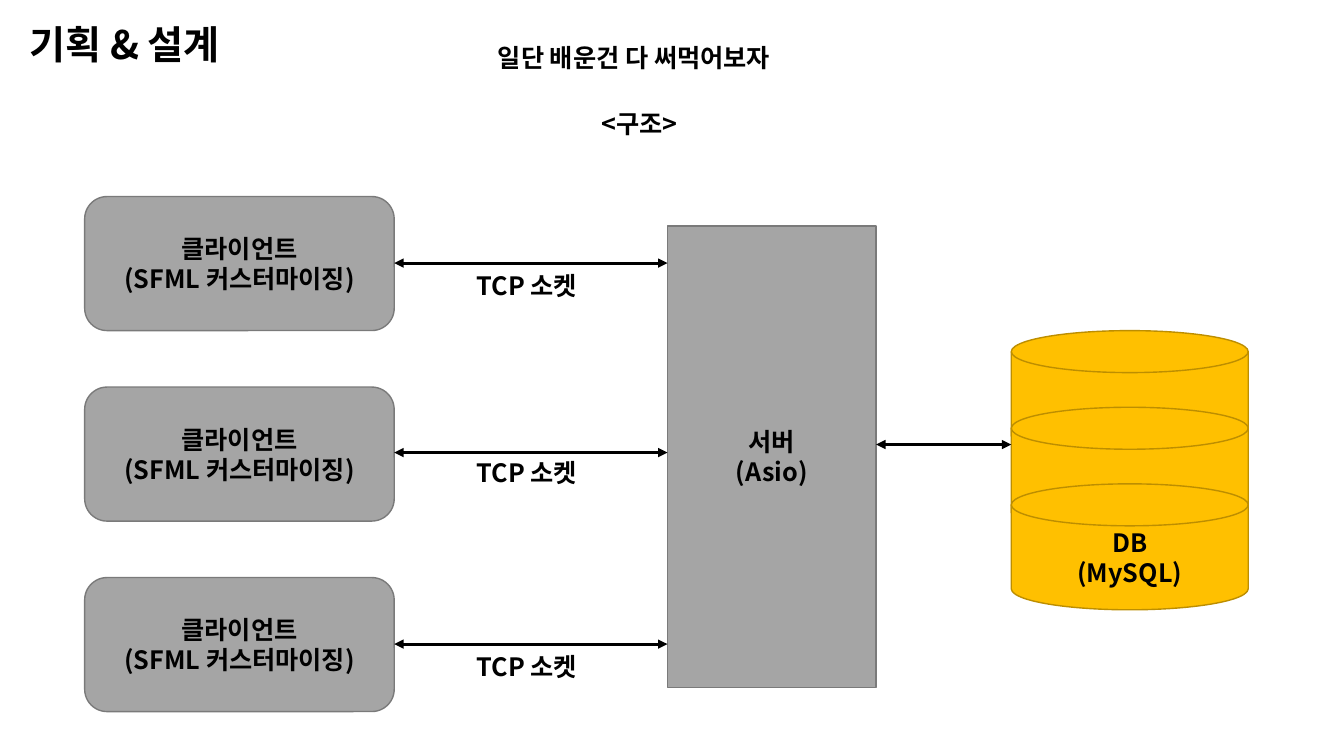
from pptx import Presentation
from pptx.dml.color import RGBColor
from pptx.enum.shapes import MSO_CONNECTOR, MSO_SHAPE
from pptx.enum.text import MSO_ANCHOR, MSO_AUTO_SIZE, PP_ALIGN
from pptx.oxml.ns import qn
from pptx.util import Emu, Pt
from lxml import etree

STRAIGHT = MSO_CONNECTOR.STRAIGHT
ROUNDED = MSO_SHAPE.ROUNDED_RECTANGLE
PROCESS = MSO_SHAPE.FLOWCHART_PROCESS
DISK = MSO_SHAPE.FLOWCHART_MAGNETIC_DISK
MIDDLE = MSO_ANCHOR.MIDDLE
GROW = MSO_AUTO_SIZE.SHAPE_TO_FIT_TEXT
CENTER = PP_ALIGN.CENTER

FONT = "Noto Sans CJK KR"
BLACK, GRAY, GRAY_EDGE = "000000", "A5A5A5", "7A7A7A"
GOLD, GOLD_EDGE = "FFC000", "BD8E00"


def px(n):
    """100 px to the inch."""
    return Emu(n * 9144)


def rgb(color):
    return RGBColor.from_string(color)


def write(p, text, size=18, color=BLACK, bold=True):
    r = p.add_run()
    r.text = text
    r.font.name = FONT
    r.font.size = Pt(size)
    r.font.bold = bold
    r.font.color.rgb = rgb(color)
    etree.SubElement(r.font._element, qn("a:ea"), typeface=FONT)


def add_label(s, x, y, w, h, text, size=18, line_spacing=None, grow=True):
    tf = s.shapes.add_textbox(px(x), px(y), px(w), px(h)).text_frame
    tf.word_wrap = True
    if grow:
        tf.auto_size = GROW
    p = tf.paragraphs[0]
    if line_spacing:
        p.line_spacing = line_spacing
    write(p, text, size=size)


def add_node(s, kind, x, y, w, h, fill, edge, lines=()):
    sp = s.shapes.add_shape(kind, px(x), px(y), px(w), px(h))
    sp.shadow.inherit = False
    sp.fill.solid()
    sp.fill.fore_color.rgb = rgb(fill)
    sp.line.color.rgb = rgb(edge)
    sp.line.width = Pt(1)
    tf = sp.text_frame
    tf.word_wrap = True
    tf.vertical_anchor = MIDDLE
    for i, text in enumerate(lines):
        p = tf.add_paragraph() if i else tf.paragraphs[0]
        p.alignment = CENTER
        write(p, text)


def add_link(s, x1, x2, y):
    """Horizontal two-way arrow."""
    cn = s.shapes.add_connector(STRAIGHT, px(x1), px(y), px(x2), px(y))
    cn.line.color.rgb = rgb(BLACK)
    cn.line.width = Pt(2.25)
    ln = cn.line._get_or_add_ln()
    for end in ("a:headEnd", "a:tailEnd"):
        etree.SubElement(ln, qn(end), type="triangle")
    etree.SubElement(cn._element.spPr, qn("a:effectLst"))


def add_headings(s, x, y):
    add_label(s, x, y, 278, 73, "기획 & 설계", size=28, line_spacing=0.9, grow=False)
    add_label(s, x + 465, y + 16, 356, 40, "일단 배운건 다 써먹어보자")
    add_label(s, x + 568, y + 82, 124, 40, "<구조>")


def add_database(s, x, y, w, h):
    disk_h, step = 125, (h - 125) // 2
    for i in range(3):
        lines = ("DB", "(MySQL)") if i == 2 else ()
        add_node(s, DISK, x, y + i * step, w, disk_h, GOLD, GOLD_EDGE, lines)


def add_clients(s, x, y, w, h, pitch, server_x):
    """Client boxes, each with its socket link to the server."""
    for i, (link_dy, label_dy) in enumerate([(66, 68), (65, 65), (66, 68)]):
        top = y + i * pitch
        add_node(s, ROUNDED, x, top, w, h, GRAY, GRAY_EDGE,
                 ("클라이언트", "(SFML 커스터마이징)"))
        add_link(s, x + w, server_x, top + link_dy)
        add_label(s, x + w + 72, top + label_dy, 124, 40, "TCP 소켓")


def main():
    prs = Presentation()
    prs.slide_width, prs.slide_height = px(1333), px(750)
    s = prs.slides.add_slide(prs.slide_layouts[6])

    server_x, server_w, db_x = 662, 207, 1003
    add_headings(s, 19, 21)
    add_database(s, db_x, 328, 235, 278)
    add_node(s, PROCESS, server_x, 224, server_w, 458, GRAY, GRAY_EDGE,
             ("서버", "(Asio)"))
    add_clients(s, 84, 195, 307, 133, 189, server_x)
    add_link(s, server_x + server_w, db_x, 441)

    prs.save("out.pptx")


if __name__ == "__main__":
    main()
